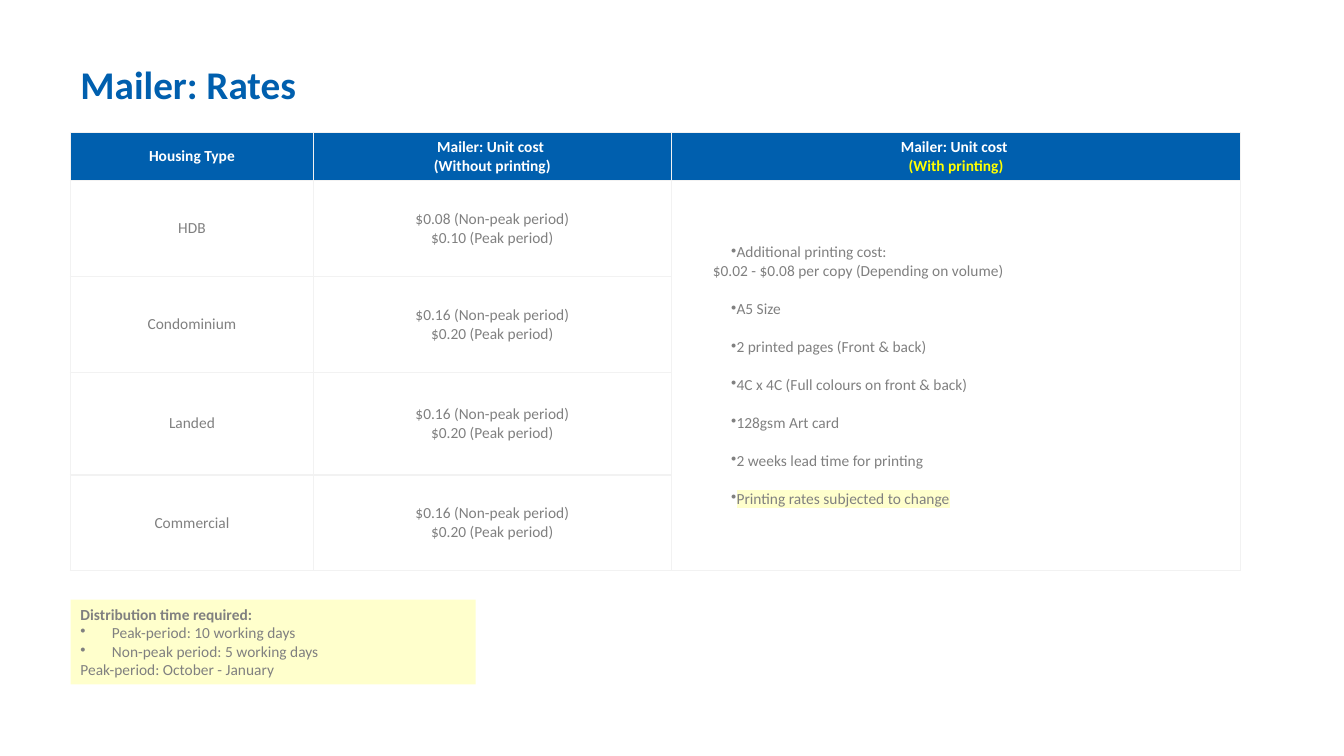
from lxml.etree import SubElement
from pptx import Presentation
from pptx.dml.color import RGBColor
from pptx.enum.shapes import MSO_SHAPE
from pptx.enum.text import MSO_ANCHOR, MSO_AUTO_SIZE, PP_ALIGN
from pptx.oxml.ns import qn
from pptx.util import Pt

BLUE = RGBColor(0x00, 0x5F, 0xAE)
WHITE = RGBColor(0xFF, 0xFF, 0xFF)
GRAY = RGBColor(0x80, 0x80, 0x80)
YELLOW = RGBColor(0xFF, 0xFF, 0x00)
CREAM = RGBColor(0xFF, 0xFF, 0xCC)
BORDER = RGBColor(0xF2, 0xF2, 0xF2)

LEFT, WIDTH = 50.4, 835.9
COLUMN_WIDTHS = [173.5, 255.6, 406.8]
ROW_HEIGHTS = [34.5, 68.4, 68.4, 73.4, 68.4]
HEADINGS = ["Housing Type", "Mailer: Unit cost \v(Without printing)", "Mailer: Unit cost \v"]
RATES = [
    ("HDB", "0.08", "0.10"),
    ("Condominium", "0.16", "0.20"),
    ("Landed", "0.16", "0.20"),
    ("Commercial", "0.16", "0.20"),
]
PRINTING_TERMS = [
    "Additional printing cost:\v$0.02 - $0.08 per copy (Depending on volume)",
    "A5 Size",
    "2 printed pages (Front & back)",
    "4C x 4C (Full colours on front & back)",
    "128gsm Art card",
    "2 weeks lead time for printing",
    "Printing rates subjected to change",
]
DISTRIBUTION_LINES = [
    "Distribution time required:",
    "Peak-period: 10 working days",
    "Non-peak period: 5 working days",
    "Peak-period: October - January",
]


def add_color(parent, tag, color):
    holder = SubElement(parent, qn(tag))
    SubElement(holder, qn("a:srgbClr"), val=str(color))


class RateSlide:
    def __init__(self, slide, font_name="Calibri", body_size=11):
        self.slide = slide
        self.font_name = font_name
        self.body_size = body_size

    def style(self, paragraph, color, bold=False, size=None, align=PP_ALIGN.LEFT):
        paragraph.alignment = align
        font = paragraph.font
        font.name = self.font_name
        font.size = Pt(size or self.body_size)
        font.bold = bold
        font.color.rgb = color

    def bullet(self, paragraph, margin, indent):
        properties = paragraph._p.get_or_add_pPr()
        properties.set("marL", str(Pt(margin)))
        properties.set("indent", str(Pt(indent)))
        properties.insert(0, SubElement(properties, qn("a:buChar"), char="•"))

    def title(self, text, top, height):
        box = self.slide.shapes.add_textbox(Pt(LEFT), Pt(top), Pt(WIDTH), Pt(height))
        frame = box.text_frame
        frame.word_wrap = True
        frame.auto_size = MSO_AUTO_SIZE.SHAPE_TO_FIT_TEXT
        frame.text = text
        self.style(frame.paragraphs[0], BLUE, bold=True, size=28)

    def table(self, top):
        table = self.slide.shapes.add_table(
            len(ROW_HEIGHTS), len(COLUMN_WIDTHS),
            Pt(LEFT), Pt(top), Pt(WIDTH), Pt(sum(ROW_HEIGHTS))).table
        table.first_row = table.horz_banding = False
        for column, width in zip(table.columns, COLUMN_WIDTHS):
            column.width = Pt(width)
        for row, height in zip(table.rows, ROW_HEIGHTS):
            row.height = Pt(height)
        for cell in table.iter_cells():
            self.border(cell)
        return table

    def border(self, cell):
        properties = cell._tc.get_or_add_tcPr()
        for side in ("a:lnL", "a:lnR", "a:lnT", "a:lnB"):
            line = SubElement(properties, qn(side), w=str(Pt(1)))
            add_color(line, "a:solidFill", BORDER)

    def fill_cell(self, cell, text, fill, color, bold=False, align=PP_ALIGN.CENTER):
        cell.fill.solid()
        cell.fill.fore_color.rgb = fill
        cell.vertical_anchor = MSO_ANCHOR.MIDDLE
        cell.text = text
        for paragraph in cell.text_frame.paragraphs:
            self.style(paragraph, color, bold, align=align)

    def terms(self, cell, terms):
        self.fill_cell(cell, "\n".join(terms), WHITE, GRAY, align=PP_ALIGN.LEFT)
        paragraphs = cell.text_frame.paragraphs
        for paragraph in paragraphs:
            self.bullet(paragraph, 22.5, 13)
        for paragraph in paragraphs[1:]:
            paragraph.space_before = Pt(13.5)
        add_color(paragraphs[-1].runs[0]._r.get_or_add_rPr(), "a:highlight", CREAM)

    def note(self, lines, top, width, height):
        box = self.slide.shapes.add_shape(
            MSO_SHAPE.RECTANGLE, Pt(LEFT), Pt(top), Pt(width), Pt(height))
        box.shadow.inherit = False
        box.fill.solid()
        box.fill.fore_color.rgb = CREAM
        box.line.fill.background()
        frame = box.text_frame
        frame.word_wrap = True
        frame.auto_size = MSO_AUTO_SIZE.SHAPE_TO_FIT_TEXT
        frame.text = "\n".join(lines)
        for index, paragraph in enumerate(frame.paragraphs):
            self.style(paragraph, GRAY, bold=index == 0)
            if index in (1, 2):
                self.bullet(paragraph, 22.5, -22.5)


def main():
    presentation = Presentation()
    presentation.slide_width, presentation.slide_height = Pt(960), Pt(540)
    page = RateSlide(presentation.slides.add_slide(presentation.slide_layouts[6]))

    page.title("Mailer: Rates", 39.6, 41.2)

    rates = page.table(94.6)
    for column, heading in enumerate(HEADINGS):
        page.fill_cell(rates.cell(0, column), heading, BLUE, WHITE, bold=True)
    with_printing = rates.cell(0, 2).text_frame.paragraphs[0].add_run()
    with_printing.text = "(With printing)"
    with_printing.font.color.rgb = YELLOW

    for row, (housing, non_peak, peak) in enumerate(RATES, start=1):
        costs = f"${non_peak} (Non-peak period)\v${peak} (Peak period)"
        page.fill_cell(rates.cell(row, 0), housing, WHITE, GRAY)
        page.fill_cell(rates.cell(row, 1), costs, WHITE, GRAY)
    printing = rates.cell(1, 2)
    printing.merge(rates.cell(len(RATES), 2))
    page.terms(printing, PRINTING_TERMS)

    page.note(DISTRIBUTION_LINES, 428.4, 289.4, 60.5)
    presentation.save("out.pptx")


if __name__ == "__main__":
    main()
